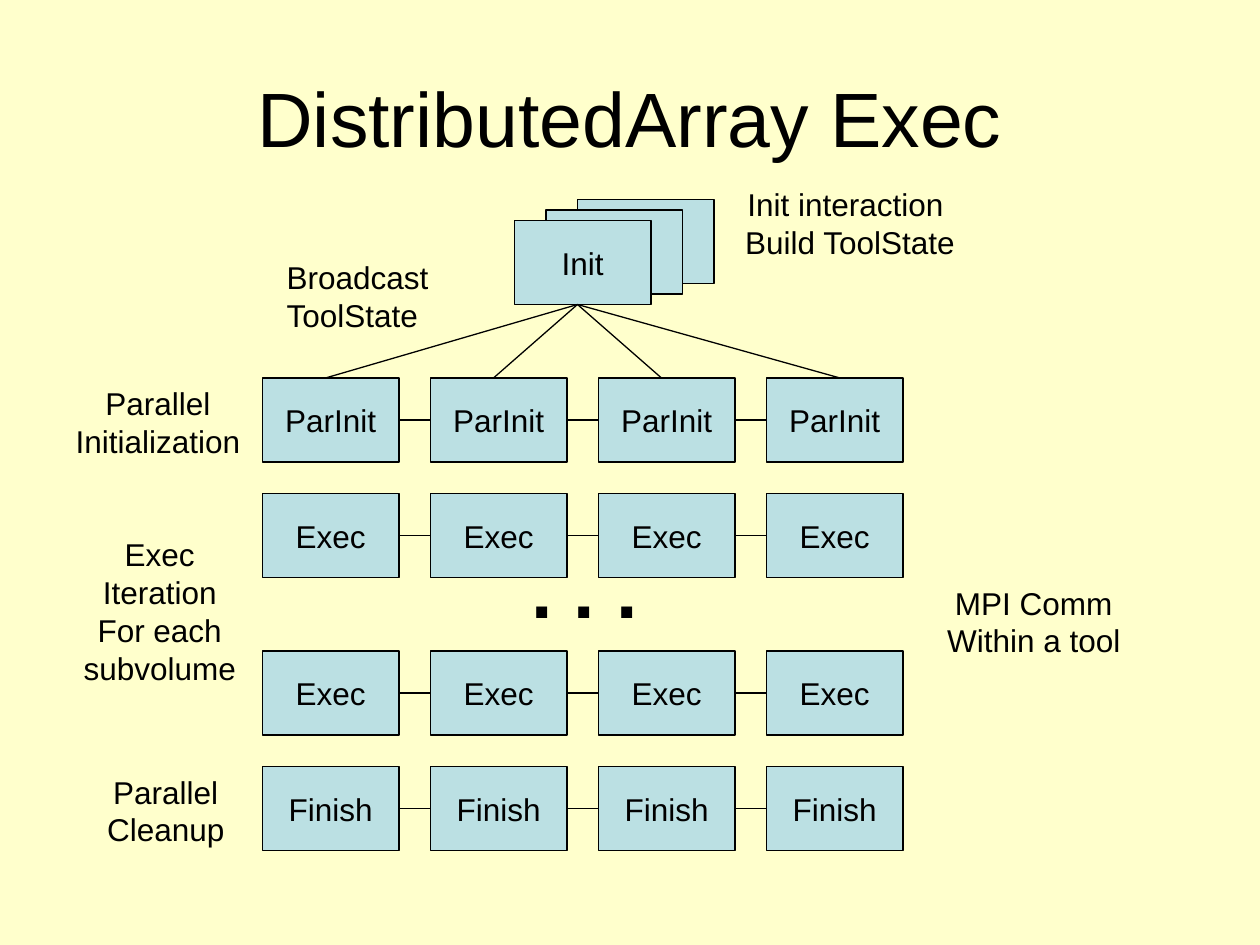
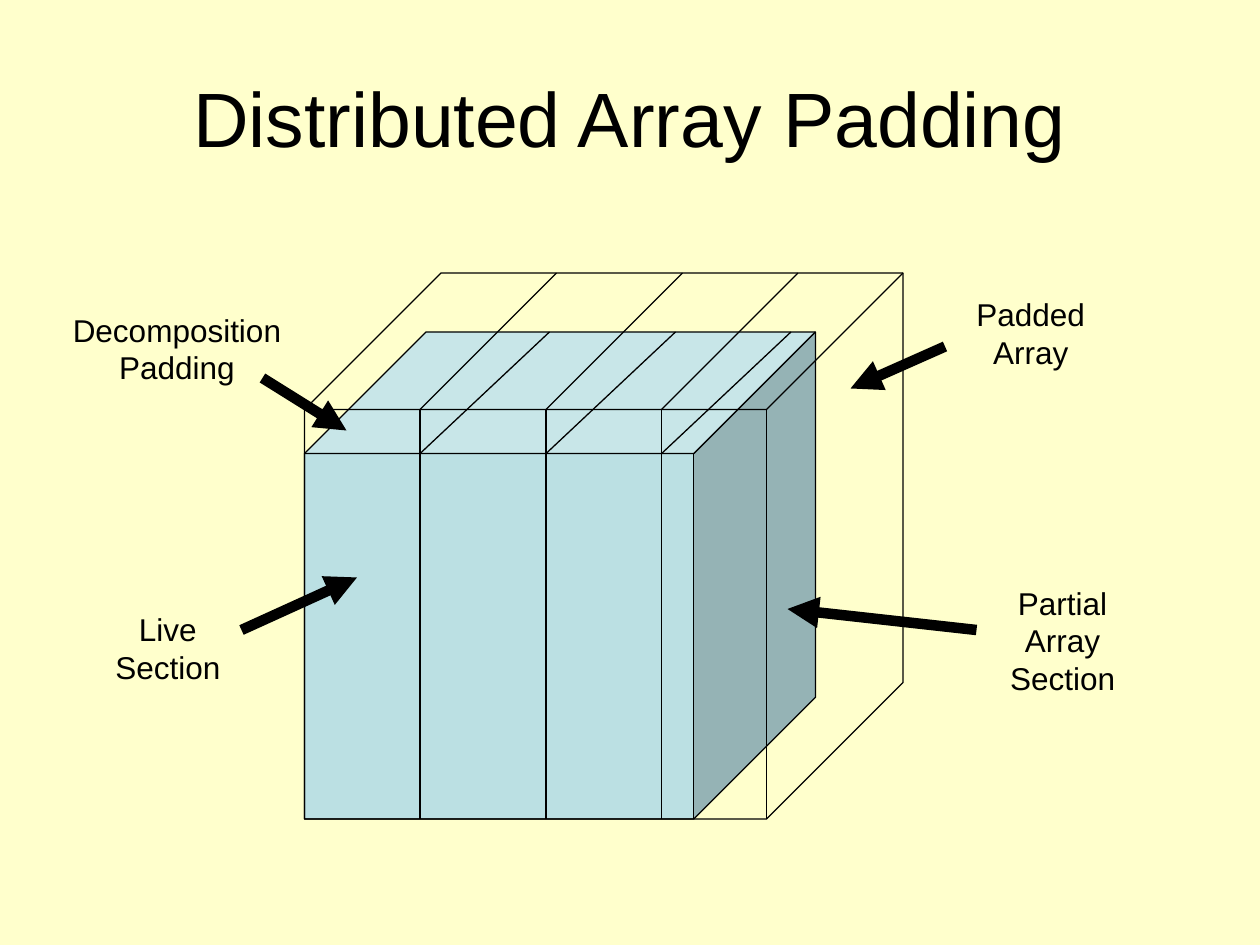
"""Build two slides on distributed array execution and padding."""
from itertools import product
from typing import NamedTuple

from lxml.etree import SubElement
from pptx import Presentation
from pptx.dml.color import RGBColor
from pptx.enum.shapes import MSO_CONNECTOR, MSO_SHAPE
from pptx.enum.text import MSO_ANCHOR, MSO_AUTO_SIZE, PP_ALIGN
from pptx.oxml.ns import qn
from pptx.util import Pt

CREAM = RGBColor(0xFF, 0xFF, 0xCC)
TEAL = RGBColor(0xBB, 0xE0, 0xE3)
BLACK = RGBColor(0, 0, 0)
FONT = "Arial"
BODY_SIZE, TITLE_SIZE = 18, 44
THIN, THICK = 0.75, 6

TASK_WIDTH, TASK_HEIGHT, TASK_PITCH = 78, 48, 96
TASK_LEFT, TASK_COUNT = 150, 4
TASK_ROWS = {216: "ParInit", 282: "Exec", 372: "Exec", 438: "Finish"}
INIT_CORNERS = ((330, 114), (312, 120), (294, 126))
BROADCAST_START = (330, 174)
BROADCAST_ENDS = (186, 282, 378, 480)

SECTION_CUTS = (240, 312, 378)


class Label(NamedTuple):
    """A caption with its box in points."""
    text: str
    left: float
    top: float
    width: float
    height: float
    align: PP_ALIGN = PP_ALIGN.CENTER
    size: float = BODY_SIZE
    bold: bool = False


class Segment(NamedTuple):
    """A straight line in points, with an arrowhead at its end if wanted."""
    x1: float
    y1: float
    x2: float
    y2: float
    width: float = THIN
    arrow: bool = False


class Cube(NamedTuple):
    """A cube whose depth is the offset of its back face."""
    left: float
    top: float
    width: float
    height: float
    depth: float
    filled: bool


EXEC_LABELS = (
    Label(". . .", 296.5, 306, 78, 60, PP_ALIGN.LEFT, TITLE_SIZE, True),
    Label("Broadcast\nToolState", 156.7, 144, 97, 50.4, PP_ALIGN.LEFT),
    Label("Exec\nIteration\nFor each\nsubvolume", 39.8, 302.3, 103, 93.6),
    Label("Parallel\nCleanup", 53.2, 438, 83, 50.4),
    Label("Parallel\nInitialization", 35.2, 216, 110, 50.4),
    Label("Init interaction \nBuild ToolState", 416.7, 102.2, 138, 50.4),
    Label("MPI Comm\nWithin a tool", 533.2, 330, 115, 50.4),
)
PADDING_LABELS = (
    Label("Live\nSection", 57.9, 345, 76, 50.4),
    Label("Decomposition\nPadding", 33.6, 174, 135, 50.4),
    Label("Padded\nArray", 550, 165, 78, 50.4),
    Label("Partial\nArray\nSection", 569.2, 330, 76, 72),
)
POINTERS = (
    Segment(138, 360, 204, 330, THICK, True),
    Segment(150, 216, 198, 246, THICK, True),
    Segment(540, 198, 486, 222, THICK, True),
    Segment(558, 360, 450, 348, THICK, True),
)
LIVE_CUBE = Cube(174, 189.7, 292, 278.3, 69.5, True)
PADDED_CUBE = Cube(174, 156, 342, 312, 78, False)
LIVE_CUT_SHIFT = 74


def style_text(frame, align: PP_ALIGN, size: float, bold: bool = False) -> None:
    """Format every paragraph and run of a text frame."""
    for paragraph in frame.paragraphs:
        paragraph.alignment = align
        for run in paragraph.runs:
            run.font.name = FONT
            run.font.size = Pt(size)
            run.font.bold = bold
            run.font.color.rgb = BLACK


def add_titled_slide(prs, title: str):
    """Add a title-only slide and set its title."""
    slide = prs.slides.add_slide(prs.slide_layouts[5])
    heading = slide.shapes.title
    heading.left, heading.top = Pt(36), Pt(21.5)
    heading.width, heading.height = Pt(648), Pt(90)
    frame = heading.text_frame
    frame.text = title
    frame.auto_size = MSO_AUTO_SIZE.NONE
    frame.vertical_anchor = MSO_ANCHOR.MIDDLE
    style_text(frame, PP_ALIGN.CENTER, TITLE_SIZE)
    return slide


def add_outlined(slide, kind: MSO_SHAPE, left: float, top: float,
                 width: float, height: float, filled: bool = True):
    """Add a preset shape with a thin black outline."""
    outlined = slide.shapes.add_shape(kind, Pt(left), Pt(top), Pt(width), Pt(height))
    outlined.shadow.inherit = False
    if filled:
        outlined.fill.solid()
        outlined.fill.fore_color.rgb = TEAL
    else:
        outlined.fill.background()
    outlined.line.color.rgb = BLACK
    outlined.line.width = Pt(THIN)
    return outlined


def add_task(slide, text: str, left: float, top: float) -> None:
    """Add one task box of the execution grid."""
    task = add_outlined(slide, MSO_SHAPE.RECTANGLE, left, top, TASK_WIDTH, TASK_HEIGHT)
    frame = task.text_frame
    frame.text = text
    frame.word_wrap = False
    frame.vertical_anchor = MSO_ANCHOR.MIDDLE
    style_text(frame, PP_ALIGN.CENTER, BODY_SIZE)


def add_cube(slide, cube: Cube) -> None:
    """Add a cube with the given depth."""
    block = add_outlined(slide, MSO_SHAPE.CUBE, cube.left, cube.top,
                         cube.width, cube.height, cube.filled)
    block.adjustments[0] = cube.depth / min(cube.width, cube.height)


def add_label(slide, label: Label) -> None:
    """Add a caption that does not wrap."""
    caption = slide.shapes.add_textbox(Pt(label.left), Pt(label.top),
                                       Pt(label.width), Pt(label.height))
    frame = caption.text_frame
    frame.text = label.text
    frame.word_wrap = False
    frame.auto_size = MSO_AUTO_SIZE.SHAPE_TO_FIT_TEXT
    style_text(frame, label.align, label.size, label.bold)


def add_segment(slide, segment: Segment) -> None:
    """Add a black line or arrow."""
    connector = slide.shapes.add_connector(
        MSO_CONNECTOR.STRAIGHT, Pt(segment.x1), Pt(segment.y1),
        Pt(segment.x2), Pt(segment.y2))
    connector.line.color.rgb = BLACK
    connector.line.width = Pt(segment.width)
    properties = connector._element.spPr
    if segment.arrow:
        SubElement(properties.find(qn("a:ln")), qn("a:tailEnd"), type="triangle")
    SubElement(properties, qn("a:effectLst"))


def build_exec_slide(prs) -> None:
    """Draw the stages of a distributed execution."""
    slide = add_titled_slide(prs, "DistributedArray Exec")
    for left, top in INIT_CORNERS:
        add_task(slide, "Init", left, top)
    for (top, stage), column in product(TASK_ROWS.items(), range(TASK_COUNT)):
        left = TASK_LEFT + column * TASK_PITCH
        add_task(slide, stage, left, top)
        if column:
            middle = top + TASK_HEIGHT / 2
            gap = TASK_PITCH - TASK_WIDTH
            add_segment(slide, Segment(left - gap, middle, left, middle))
    for end in BROADCAST_ENDS:
        add_segment(slide, Segment(*BROADCAST_START, end, min(TASK_ROWS)))
    for label in EXEC_LABELS:
        add_label(slide, label)


def build_padding_slide(prs) -> None:
    """Draw the live section inside the padded array."""
    slide = add_titled_slide(prs, "Distributed Array Padding")
    add_cube(slide, LIVE_CUBE)
    add_cube(slide, PADDED_CUBE)
    padded_front = PADDED_CUBE.top + PADDED_CUBE.depth
    live_front = LIVE_CUBE.top + LIVE_CUBE.depth
    bottom = PADDED_CUBE.top + PADDED_CUBE.height
    for cut in SECTION_CUTS:
        add_segment(slide, Segment(cut + PADDED_CUBE.depth, PADDED_CUBE.top,
                                   cut, padded_front))
        add_segment(slide, Segment(cut, padded_front, cut, bottom))
        add_segment(slide, Segment(cut + LIVE_CUT_SHIFT, LIVE_CUBE.top,
                                   cut, live_front))
    for label in PADDING_LABELS:
        add_label(slide, label)
    for pointer in POINTERS:
        add_segment(slide, pointer)


def main() -> None:
    """Build and save the presentation."""
    prs = Presentation()
    prs.slide_width, prs.slide_height = Pt(720), Pt(540)
    backdrop = prs.slide_master.background.fill
    backdrop.solid()
    backdrop.fore_color.rgb = CREAM
    build_exec_slide(prs)
    build_padding_slide(prs)
    prs.save("out.pptx")


if __name__ == "__main__":
    main()
